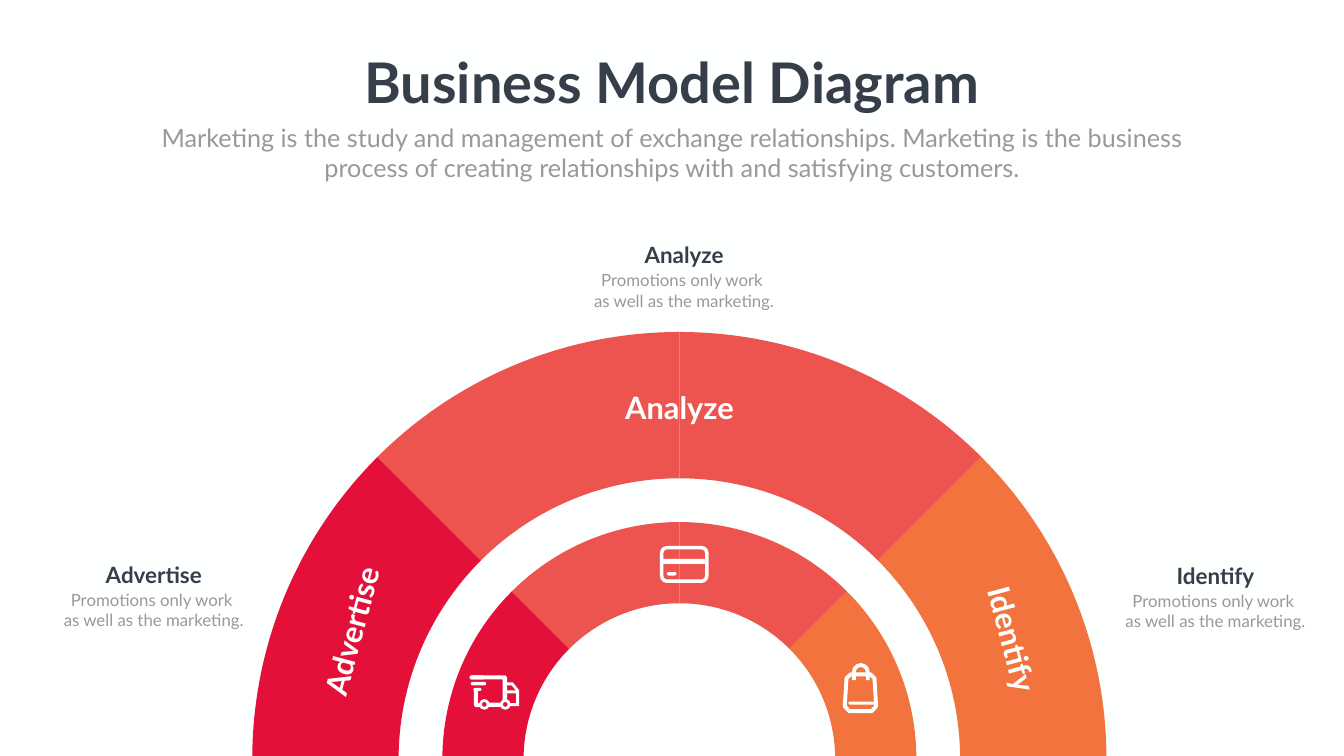
from dataclasses import dataclass
from math import cos, radians, sin

from lxml import etree
from pptx import Presentation
from pptx.dml.color import RGBColor
from pptx.enum.shapes import MSO_SHAPE
from pptx.enum.text import PP_ALIGN
from pptx.oxml.ns import qn
from pptx.util import Pt

Point = tuple[float, float]

WHITE = RGBColor(0xFE, 0xFF, 0xFF)
DARK = RGBColor(0x35, 0x3E, 0x49)
GRAY = RGBColor(0x98, 0x99, 0x98)
CRIMSON = RGBColor(0xE4, 0x10, 0x3A)
CORAL = RGBColor(0xEE, 0x54, 0x4F)
ORANGE = RGBColor(0xF2, 0x73, 0x3E)

CENTER_X, CENTER_Y = 970.3, 1084.3
SECTOR_ANGLE = 45


@dataclass
class Ring:
    inner: float
    outer: float


@dataclass
class Label:
    heading: str
    left: float
    top: float


@dataclass
class SectorName:
    text: str
    left: float
    top: float
    rotation: float


@dataclass
class Bar:
    left: float
    top: float
    width: float
    height: float
    preset: MSO_SHAPE = MSO_SHAPE.ROUNDED_RECTANGLE
    adjustment: float = 0.5


RINGS = [Ring(222.5, 338.5), Ring(401, 610)]
SECTOR_COLORS = [CRIMSON, CORAL, CORAL, ORANGE]
SECTOR_NAMES = [
    SectorName("Advertise", 383.8, 871.2, 285),
    SectorName("Analyze", 852.5, 551.5, 0),
    SectorName("Identify", 1327.7, 882.7, 75),
]
LABELS = [
    Label("Analyze", 833, 382.3),
    Label("Advertise", 75.6, 838.8),
    Label("Identify", 1591.9, 840.2),
]
LABEL_BODY = ["Promotions only work ", "as well as the marketing."]

TRUCK_PANELS = [
    [(724.3, 974.9), (732.5, 974.9), (741.6, 986.4), (741.6, 1008.7), (726.5, 1008.7),
     (726.5, 1004.4), (737.3, 1004.4), (737.3, 987), (730.8, 979.2), (724.3, 979.2)],
    [(673, 965), (722, 965), (724.3, 967.5), (724.3, 1002), (717.8, 1002),
     (717.8, 970.6), (673, 970.6)],
    [(676.8, 985.7), (682.6, 985.7), (682.6, 1004.4), (687.5, 1004.4),
     (687.5, 1010.2), (679, 1010.2), (676.8, 1008)],
]
ICON_BARS = [
    Bar(721.4, 986.4, 18.5, 4.3, adjustment=0),
    Bar(695.5, 1003.7, 21.6, 6.2, adjustment=0),
    Bar(670.5, 965, 22, 5.6),
    Bar(672.5, 974.2, 22, 5),
    Bar(676.1, 982.8, 11.5, 4.3),
    Bar(684.2, 998.8, 15, 15, MSO_SHAPE.DONUT, 0.27),
    Bar(714.2, 998.8, 15, 15, MSO_SHAPE.DONUT, 0.27),
    Bar(946.1, 798.5, 63.4, 7.2, adjustment=0),
    Bar(952.6, 817.2, 13.5, 5),
    Bar(1211.8, 1002.2, 39.5, 4.3),
]

prs = Presentation()
prs.slide_width, prs.slide_height = Pt(1919.52), Pt(1080)
slide = prs.slides.add_slide(prs.slide_layouts[6])
slide.background.fill.solid()
slide.background.fill.fore_color.rgb = WHITE


def paint(shape, color: RGBColor) -> None:
    shape.shadow.inherit = False
    shape.fill.solid()
    shape.fill.fore_color.rgb = color
    shape.line.fill.background()


def stroke(shape, width: float) -> None:
    shape.shadow.inherit = False
    shape.fill.background()
    shape.line.color.rgb = WHITE
    shape.line.width = Pt(width)
    etree.SubElement(shape.line._get_or_add_ln(), qn("a:round"))


def outline(points: list[Point], close: bool = True):
    path = [(Pt(x), Pt(y)) for x, y in points]
    builder = slide.shapes.build_freeform(*path[0])
    builder.add_line_segments(path[1:], close=close)
    return builder.convert_to_shape()


def polar(x: float, y: float, radius: float, angle: float) -> Point:
    return x + radius * cos(radians(angle)), y + radius * sin(radians(angle))


def bend(segment, radius: float, start: int, sweep: int) -> None:
    arc = etree.Element(qn("a:arcTo"))
    for key, value in (("wR", Pt(radius)), ("hR", Pt(radius)),
                       ("stAng", start * 60000), ("swAng", sweep * 60000)):
        arc.set(key, str(int(value)))
    segment.getparent().replace(segment, arc)


def draw_ring(ring: Ring) -> None:
    for i, color in enumerate(SECTOR_COLORS):
        start = 180 + i * SECTOR_ANGLE
        end = start + SECTOR_ANGLE
        corners = [(ring.outer, start), (ring.outer, end),
                   (ring.inner, end), (ring.inner, start)]
        sector = outline([polar(CENTER_X, CENTER_Y, r, a) for r, a in corners])
        segments = list(sector._element.iter(qn("a:lnTo")))
        bend(segments[0], ring.outer, start, SECTOR_ANGLE)
        bend(segments[2], ring.inner, end, -SECTOR_ANGLE)
        paint(sector, color)


def add_bar(bar: Bar):
    shape = slide.shapes.add_shape(bar.preset, Pt(bar.left), Pt(bar.top),
                                   Pt(bar.width), Pt(bar.height))
    shape.adjustments[0] = bar.adjustment
    return shape


def draw_icons() -> None:
    for panel in TRUCK_PANELS:
        paint(outline(panel), WHITE)
    for bar in ICON_BARS:
        paint(add_bar(bar), WHITE)
    stroke(add_bar(Bar(945, 782.3, 64.5, 48, adjustment=0.16)), 5)
    bag = [(1215, 963.3), (1243, 963.3), (1249, 969), (1251.3, 1009), (1245, 1016),
           (1213, 1016), (1206.5, 1009), (1209, 969)]
    stroke(outline(bag), 5.6)
    x, y, radius, foot = 1229.4, 960, 9.9, 971.5
    handle = [polar(x, y, radius, angle) for angle in range(180, 361, 30)]
    stroke(outline([(x - radius, foot), *handle, (x + radius, foot)], close=False), 5.5)


def write(lines: list[str], left: float, top: float, width: float, height: float,
          size: float, color: RGBColor, bold: bool = False,
          rotation: float = 0, wrap: bool = True) -> None:
    text_box = slide.shapes.add_textbox(Pt(left), Pt(top), Pt(width), Pt(height))
    text_box.rotation = rotation
    frame = text_box.text_frame
    frame.word_wrap = wrap
    for i, line in enumerate(lines):
        paragraph = frame.paragraphs[0] if i == 0 else frame.add_paragraph()
        paragraph.alignment = PP_ALIGN.CENTER
        run = paragraph.add_run()
        run.text = line
        run.font.name = "Lato"
        run.font.size = Pt(size)
        run.font.bold = bold
        run.font.color.rgb = color


for ring in RINGS:
    draw_ring(ring)
draw_icons()

for name in SECTOR_NAMES:
    write([name.text], name.left, name.top, 236.2, 60.5, 44, WHITE, True, name.rotation)

write(["Business Model Diagram"], 504.7, 64.1, 910, 104.4, 80, DARK, True, wrap=False)
write(["Marketing is the study and management of exchange relationships. "
       "Marketing is the business process of creating relationships with "
       "and satisfying customers."], 210.2, 171.4, 1499, 94.3, 36, GRAY)

for label in LABELS:
    write([label.heading], label.left + 59, label.top - 41, 170, 85, 32, DARK, True)
    write(LABEL_BODY, label.left, label.top, 288, 65.5, 24, GRAY)

prs.save("out.pptx")
